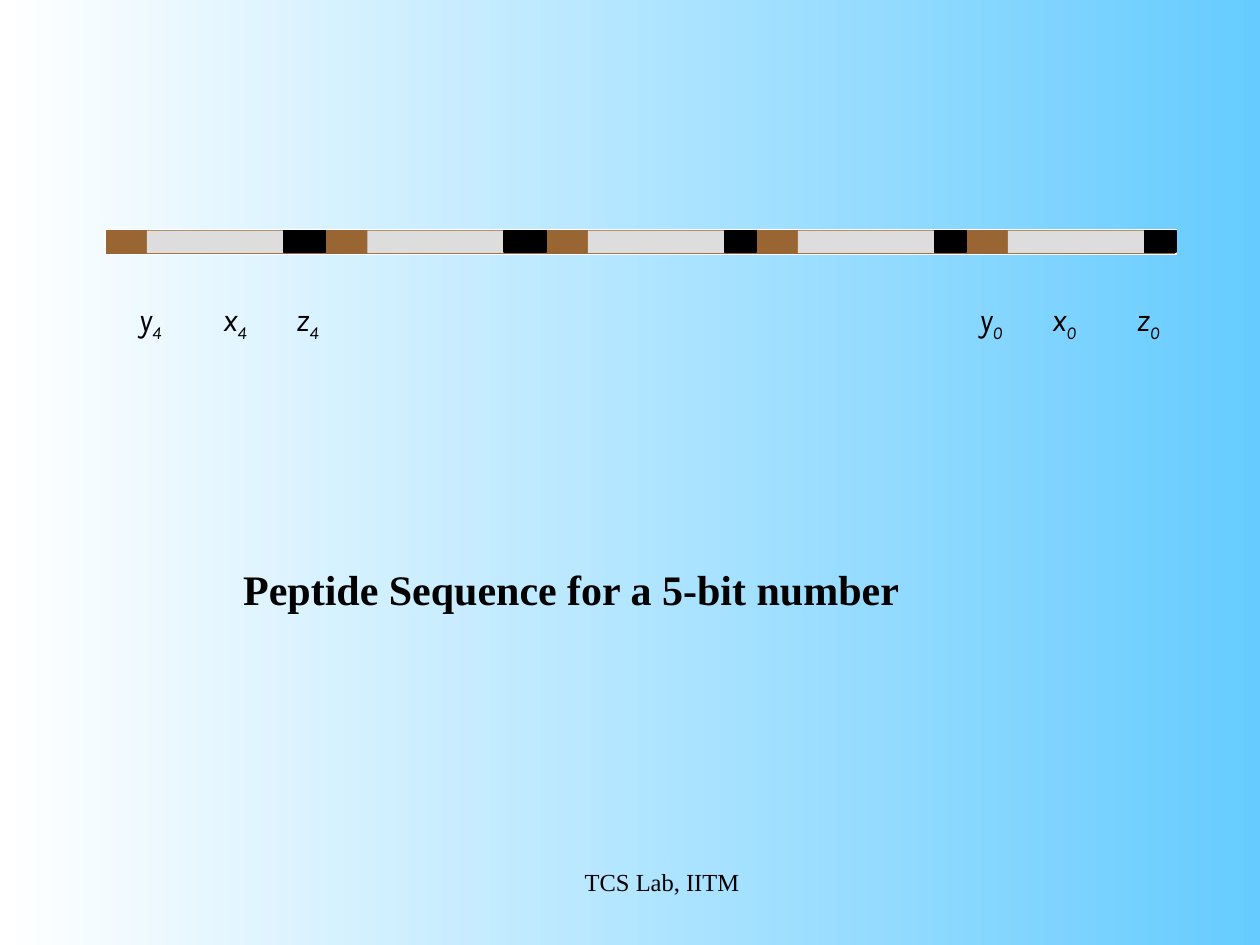
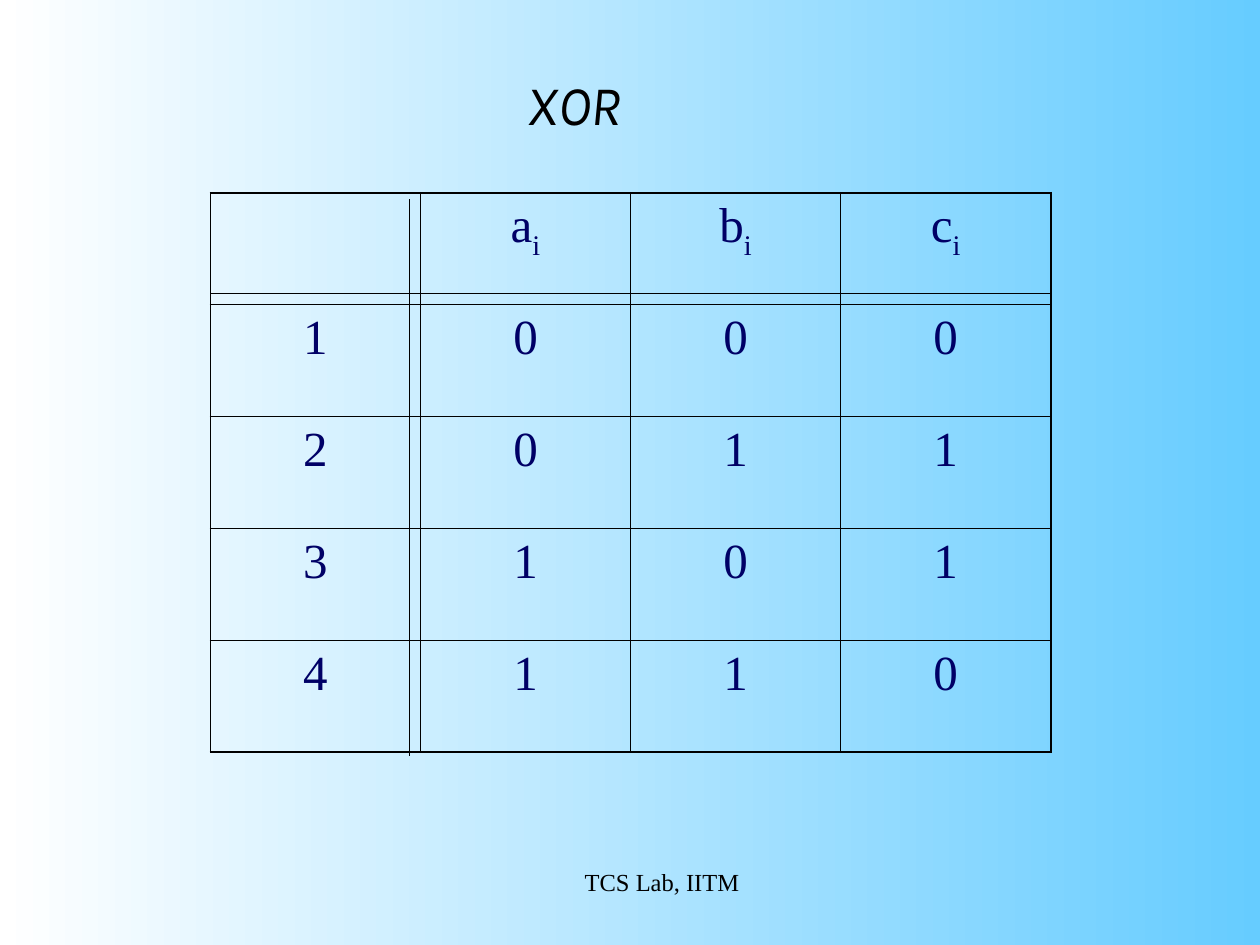
from dataclasses import dataclass
from itertools import accumulate

from lxml.etree import SubElement
from pptx import Presentation
from pptx.dml.color import RGBColor
from pptx.enum.shapes import MSO_CONNECTOR, MSO_SHAPE
from pptx.enum.text import MSO_ANCHOR, MSO_AUTO_SIZE, PP_ALIGN
from pptx.oxml.ns import qn
from pptx.presentation import Presentation as Deck
from pptx.shapes.group import GroupShape
from pptx.slide import Slide
from pptx.table import _Cell as Cell
from pptx.text.text import TextFrame, _Paragraph as Paragraph
from pptx.util import Inches, Pt

COLORS = {
    "sky": "66CCFF",
    "white": "FFFFFF",
    "black": "000000",
    "navy": "000066",
    "brown": "996633",
    "grey": "DDDDDD",
}
SERIF = "Times New Roman"
SANS = "Karla"
TITLE_ONLY = 5


@dataclass(frozen=True)
class TextStyle:
    font: str
    size: int
    color: str = "black"
    bold: bool = False
    italic: bool = False
    space_before: float = 0
    align: PP_ALIGN = PP_ALIGN.LEFT


@dataclass(frozen=True)
class Box:
    left: float
    top: float
    width: float
    height: float

    def lengths(self) -> list[Inches]:
        return [Inches(value) for value in (self.left, self.top, self.width, self.height)]


@dataclass(frozen=True)
class Label:
    letter: str
    index: str
    left: float
    width: float


CAPTION = TextStyle(SERIF, 24, bold=True, space_before=15)
HEADING = TextStyle(SANS, 32, italic=True, space_before=20)
LABEL = TextStyle(SANS, 18, italic=True, space_before=11.2)
TABLE_TEXT = TextStyle(SERIF, 28, "navy", space_before=7, align=PP_ALIGN.CENTER)
FOOTER = TextStyle(SERIF, 14, align=PP_ALIGN.CENTER)

LABELS = [
    Label("y", "4", 1, 0.5),
    Label("x", "4", 1.67, 0.58),
    Label("z", "4", 2.25, 0.67),
    Label("y", "0", 7.67, 0.5),
    Label("x", "0", 8.25, 0.5),
    Label("z", "0", 8.92, 0.58),
]

# The peptide bar is laid out in twelfths of an inch
TWELFTH = 1 / 12
BAR_START, BROWN_WIDTH, GREY_WIDTH = 10, 4, 13
BLACK_WIDTHS = [4, 4, 3, 3, 3]

XOR_ROWS = [
    ["", "a_i", "b_i", "c_i"],
    ["1", "0", "0", "0"],
    ["2", "0", "1", "1"],
    ["3", "1", "0", "1"],
    ["4", "1", "1", "0"],
]


def rgb(name: str) -> RGBColor:
    return RGBColor.from_string(COLORS[name])


# Text
def write(paragraph: Paragraph, text: str, style: TextStyle, subscript: str = "") -> None:
    paragraph.text = text
    paragraph.alignment = style.align
    paragraph.space_before = Pt(style.space_before)
    if subscript:
        run = paragraph.add_run()
        run.text = subscript
        run.font._element.set("baseline", "-25000")
    for run in paragraph.runs:
        font = run.font
        font.name, font.size = style.font, Pt(style.size)
        font.bold, font.italic = style.bold, style.italic
        font.color.rgb = rgb(style.color)


def set_frame(frame: TextFrame, fit: bool = True) -> None:
    frame.word_wrap = True
    frame.vertical_anchor = MSO_ANCHOR.TOP
    frame.auto_size = MSO_AUTO_SIZE.SHAPE_TO_FIT_TEXT if fit else MSO_AUTO_SIZE.NONE


def add_text(slide: Slide, box: Box, text: str, style: TextStyle,
             subscript: str = "", fit: bool = True) -> None:
    frame = slide.shapes.add_textbox(*box.lengths()).text_frame
    set_frame(frame, fit)
    write(frame.paragraphs[0], text, style, subscript)


# Shared slide parts
def set_background(presentation: Deck) -> None:
    fill = presentation.slide_master.background.fill
    fill.gradient()
    fill.gradient_angle = 180
    for stop, color in zip(fill.gradient_stops, ("sky", "white")):
        stop.color.rgb = rgb(color)


def add_slide(presentation: Deck, title: str, box: Box, style: TextStyle) -> Slide:
    slide = presentation.slides.add_slide(presentation.slide_layouts[TITLE_ONLY])
    shape = slide.shapes.title
    shape.left, shape.top, shape.width, shape.height = box.lengths()
    set_frame(shape.text_frame)
    write(shape.text_frame.paragraphs[0], title, style)
    add_text(slide, Box(3.67, 6.83, 3.17, 0.5), "TCS Lab, IITM", FOOTER, fit=False)
    return slide


# Peptide bar
def add_block(group: GroupShape, box: Box, color: str, line: str | None = None) -> None:
    shape = group.shapes.add_shape(MSO_SHAPE.RECTANGLE, *box.lengths())
    shape.shadow.inherit = False
    shape.fill.solid()
    shape.fill.fore_color.rgb = rgb(color)
    if line:
        shape.line.color.rgb = rgb(line)
        shape.line.width = Pt(0.75)
    else:
        shape.line.fill.background()


def add_peptide_bar(slide: Slide) -> None:
    group = slide.shapes.add_group_shape()
    unit_widths = [BROWN_WIDTH + GREY_WIDTH + black for black in BLACK_WIDTHS]
    starts = accumulate(unit_widths[:-1], initial=BAR_START)
    add_block(group, Box(BAR_START * TWELFTH, 1.82, sum(unit_widths) * TWELFTH, 0.2),
              "brown", "white")
    for start, black_width in zip(starts, BLACK_WIDTHS):
        grey = start + BROWN_WIDTH
        black = grey + GREY_WIDTH
        add_block(group, Box(grey * TWELFTH, 1.83, GREY_WIDTH * TWELFTH, 0.18), "grey")
        add_block(group, Box(black * TWELFTH, 1.83, black_width * TWELFTH, 0.17),
                  "black", "black")


# Truth table
def set_borders(cell: Cell, outer_sides: dict[str, bool]) -> None:
    properties = cell._tc.get_or_add_tcPr()
    for side, is_outer in outer_sides.items():
        width = Pt(1.08 if is_outer else 0.45)
        line = SubElement(properties, qn(f"a:ln{side}"), w=str(width))
        fill = SubElement(line, qn("a:solidFill"))
        SubElement(fill, qn("a:srgbClr"), val=COLORS["black"])


def add_truth_table(slide: Slide) -> None:
    row_count, column_count = len(XOR_ROWS), len(XOR_ROWS[0])
    box = Box(1.67, 1.53, 6.67, 4.44)
    table = slide.shapes.add_table(row_count, column_count, *box.lengths()).table
    table.first_row = table.horz_banding = False
    for row, values in enumerate(XOR_ROWS):
        for column, value in enumerate(values):
            cell = table.cell(row, column)
            set_borders(cell, {
                "L": column == 0,
                "R": column == column_count - 1,
                "T": row == 0,
                "B": row == row_count - 1,
            })
            cell.fill.background()
            if value:
                text, _, subscript = value.partition("_")
                write(cell.text_frame.paragraphs[0], text, TABLE_TEXT, subscript)


def add_rule(slide: Slide, left: float, top: float, right: float, bottom: float) -> None:
    ends = [Inches(value) for value in (left, top, right, bottom)]
    connector = slide.shapes.add_connector(MSO_CONNECTOR.STRAIGHT, *ends)
    connector.line.color.rgb = rgb("black")
    connector.line.width = Pt(0.75)
    SubElement(connector._element.spPr, qn("a:effectLst"))


# Slides
def build_peptide_slide(presentation: Deck) -> None:
    slide = add_slide(presentation, "Peptide Sequence for a 5-bit number",
                      Box(1.83, 4.42, 6.75, 0.5), CAPTION)
    for label in LABELS:
        add_text(slide, Box(label.left, 2.33, label.width, 0.44),
                 label.letter, LABEL, label.index)
    add_peptide_bar(slide)


def build_xor_slide(presentation: Deck) -> None:
    slide = add_slide(presentation, "XOR", Box(4.08, 0.5, 3.58, 0.64), HEADING)
    add_truth_table(slide)
    add_rule(slide, 1.67, 2.33, 8.33, 2.33)
    add_rule(slide, 3.25, 1.58, 3.25, 6)


def main() -> None:
    presentation = Presentation()
    presentation.slide_width, presentation.slide_height = Inches(10), Inches(7.5)
    set_background(presentation)
    build_peptide_slide(presentation)
    build_xor_slide(presentation)
    presentation.save("out.pptx")


if __name__ == "__main__":
    main()
